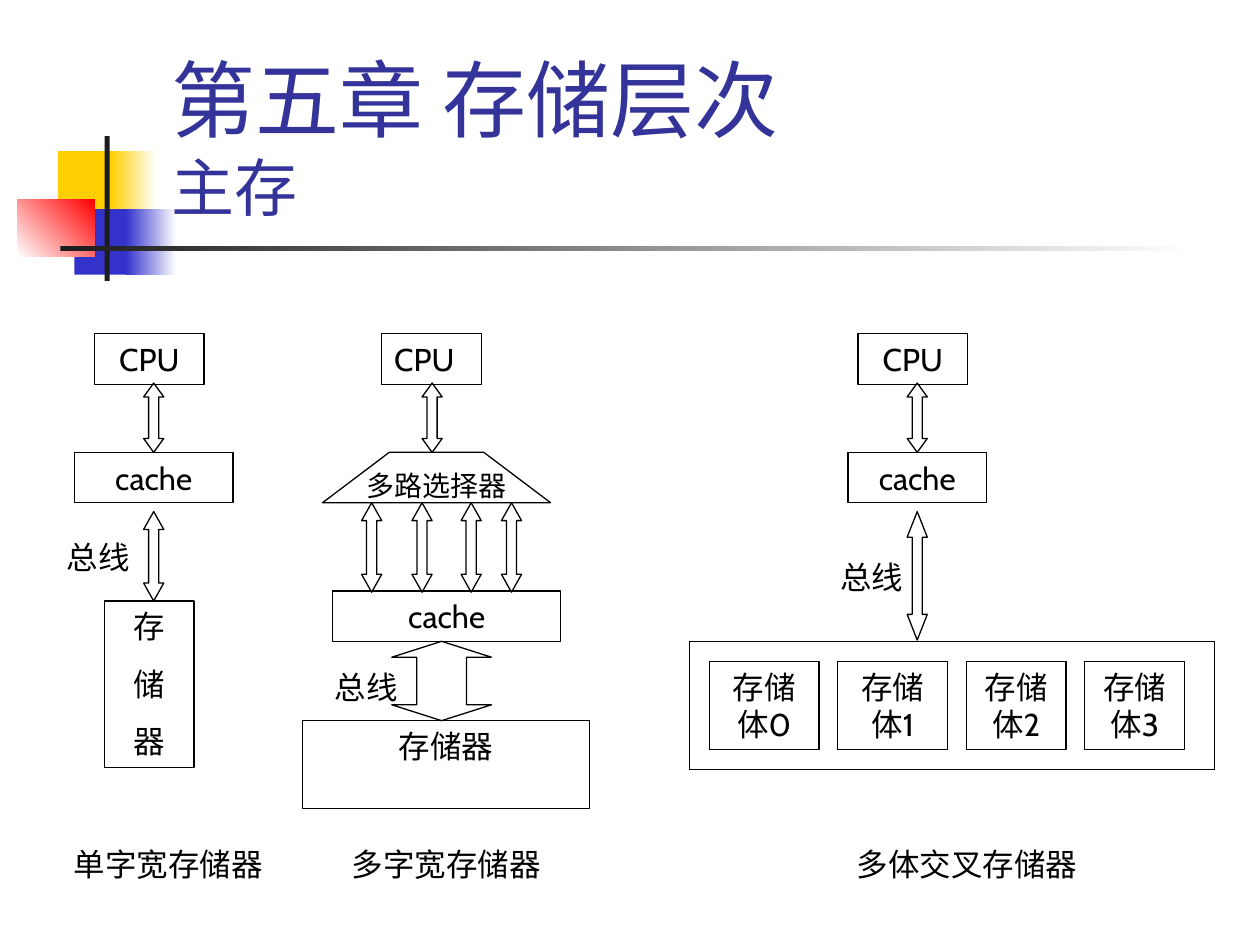
from dataclasses import dataclass

from pptx import Presentation
from pptx.dml.color import RGBColor
from pptx.enum.shapes import MSO_SHAPE
from pptx.enum.text import MSO_ANCHOR, MSO_AUTO_SIZE, PP_ALIGN
from pptx.util import Inches, Pt

RECT, ARROW = MSO_SHAPE.RECTANGLE, MSO_SHAPE.UP_DOWN_ARROW
LEFT, CENTER = PP_ALIGN.LEFT, PP_ALIGN.CENTER
TOP, BOTTOM = MSO_ANCHOR.TOP, MSO_ANCHOR.BOTTOM
NO_FIT = MSO_AUTO_SIZE.NONE


@dataclass(frozen=True)
class Theme:
    font: str = "Cabin"
    ink: RGBColor = RGBColor(0, 0, 0)
    white: RGBColor = RGBColor(255, 255, 255)
    title: RGBColor = RGBColor(0x33, 0x33, 0x99)
    gold: RGBColor = RGBColor(0xFF, 0xCF, 0x01)
    blue: RGBColor = RGBColor(0x33, 0x33, 0xCC)
    red: RGBColor = RGBColor(255, 0, 0)
    dark: RGBColor = RGBColor(0x1C, 0x1C, 0x1C)
    head: Pt = Pt(48)
    sub: Pt = Pt(36)
    body: Pt = Pt(18)
    small: Pt = Pt(16)
    gap: Pt = Pt(11.2)
    line: Pt = Pt(0.75)


T = Theme()
ROW = 0.4    # height of a one-line box
SLIM = 0.16  # width of a narrow arrow


def inch(*sizes):
    return [Inches(size) for size in sizes]


def write(shape, text, size=T.body, align=CENTER):
    frame = shape.text_frame
    frame.word_wrap = True
    frame.auto_size = NO_FIT
    frame.vertical_anchor = TOP
    frame.text = text
    for i, para in enumerate(frame.paragraphs):
        para.alignment = align
        para.space_before = T.gap if i else Pt(0)
        para.font.name = T.font
        para.font.size = size
        para.font.color.rgb = T.ink


def outline(shape):
    shape.shadow.inherit = False
    shape.fill.background()
    shape.line.color.rgb = T.ink
    shape.line.width = T.line


def box(slide, x, y, w, h=ROW, text="", align=CENTER):
    shape = slide.shapes.add_shape(RECT, *inch(x, y, w, h))
    outline(shape)
    if text:
        write(shape, text, align=align)


def label(slide, x, y, w, text, size=T.body, align=CENTER):
    write(slide.shapes.add_textbox(*inch(x, y, w, ROW)), text, size, align)


def arrow(slide, x, y, h, w=SLIM):
    """Two-way arrow whose heads each take a fifth of its height."""
    shape = slide.shapes.add_shape(ARROW, *inch(x, y, w, h))
    outline(shape)
    # The last adjustment is the head length; the shaft keeps its default half width.
    shape.adjustments[-1] = 0.2 * h / min(w, h)


def block(slide, x, y, w, h, start, end=None, angle=0):
    """Plain block, or one that fades from start to end."""
    shape = slide.shapes.add_shape(RECT, *inch(x, y, w, h))
    shape.shadow.inherit = False
    shape.line.fill.background()
    if end is None:
        shape.fill.solid()
        shape.fill.fore_color.rgb = start
        return
    shape.fill.gradient()
    shape.fill.gradient_angle = angle
    for stop, color in zip(shape.fill.gradient_stops, (start, end)):
        stop.color.rgb = color


def motif(slide, x, y):
    block(slide, x + 0.32, y + 0.12, 0.48, 0.52, T.gold)
    block(slide, x + 0.74, y + 0.12, 0.36, 0.52, T.gold, T.white)
    block(slide, x + 0.45, y + 0.58, 0.46, 0.52, T.blue)
    block(slide, x + 0.86, y + 0.58, 0.4, 0.52, T.blue, T.white)
    block(slide, x, y + 0.5, 0.61, 0.46, T.white, T.red, 45)
    block(slide, x + 0.69, y, 0.04, 1.15, T.dark)
    block(slide, x + 0.34, y + 0.87, 9, 0.04, T.dark, T.white)


def heading(slide, x, y, w, h):
    title = slide.shapes.title
    title.left, title.top, title.width, title.height = inch(x, y, w, h)
    slide.shapes.element.append(title.element)  # in front of the motif
    frame = title.text_frame
    frame.auto_size = NO_FIT
    frame.vertical_anchor = BOTTOM
    para = frame.paragraphs[0]
    para.alignment = LEFT
    para.font.name = T.font
    para.font.color.rgb = T.title
    for text, size in (("第五章 存储层次", T.head), ("主存", T.sub)):
        if para.runs:
            para.add_line_break()
        run = para.add_run()
        run.text = text
        run.font.size = size


def single(slide, x, y):
    box(slide, x + 0.4, y, 0.87, text="CPU")
    arrow(slide, x + 0.79, y + 0.39, 0.55)
    box(slide, x + 0.24, y + 0.94, 1.26, text="cache")
    arrow(slide, x + 0.79, y + 1.41, 0.71)
    label(slide, x + 0.08, y + 1.57, 0.79, "总线", align=LEFT)
    box(slide, x + 0.48, y + 2.12, 0.71, 1.32, "存\n储\n器")
    label(slide, x, y + 4.01, 1.97, "单字宽存储器")


def funnel(slide, x, y, w, h):
    """Trapezoid of the selector, narrow side up."""
    inset = 0.53
    shape = slide.shapes.build_freeform(*inch(x, y + h), scale=1)
    shape.add_line_segments(
        [inch(x + inset, y), inch(x + w - inset, y), inch(x + w, y + h)], close=True)
    outline(shape.convert_to_shape())
    label(slide, x, y + 0.08, w, "多路选择器", T.small)


def wide(slide, x, y):
    box(slide, x + 0.63, y, 0.79, text="CPU", align=LEFT)
    funnel(slide, x + 0.16, y + 0.94, 1.81, 0.4)
    arrow(slide, x + 0.95, y + 0.39, 0.55)
    box(slide, x + 0.24, y + 2.04, 1.81, text="cache")
    for dx in (0.47, 0.87, 1.26, 1.58):
        arrow(slide, x + dx, y + 1.34, 0.71)
    box(slide, x, y + 3.07, 2.28, 0.7, "存储器")
    arrow(slide, x + 0.71, y + 2.44, 0.63, 0.79)
    label(slide, x + 0.16, y + 2.6, 0.71, "总线", align=LEFT)
    label(slide, x, y + 4.01, 2.28, "多字宽存储器")


def banked(slide, x, y):
    box(slide, x + 1.34, y, 0.87, text="CPU")
    arrow(slide, x + 1.73, y + 0.39, 0.55)
    box(slide, x + 1.26, y + 0.94, 1.1, text="cache")
    box(slide, x, y + 2.44, 4.17, 1.02)
    left = x + 0.16
    for i, w in enumerate((0.87, 0.87, 0.79, 0.79)):
        box(slide, left, y + 2.6, w, 0.7, f"存储体{i}")
        left += w + 0.15
    arrow(slide, x + 1.73, y + 1.41, 1.02)
    label(slide, x + 1.1, y + 1.73, 0.71, "总线", align=LEFT)
    label(slide, x + 0.63, y + 4.01, 3.15, "多体交叉存储器")


def main():
    deck = Presentation()
    deck.slide_width, deck.slide_height = inch(10, 7.5)
    slide = deck.slides.add_slide(deck.slide_layouts[5])
    motif(slide, 0.14, 1.08)
    heading(slide, 1.26, 0.23, 8.52, 1.6)
    for draw, x in ((single, 0.35), (wide, 2.4), (banked, 5.47)):
        draw(slide, x, 2.65)
    deck.save("out.pptx")


if __name__ == "__main__":
    main()
